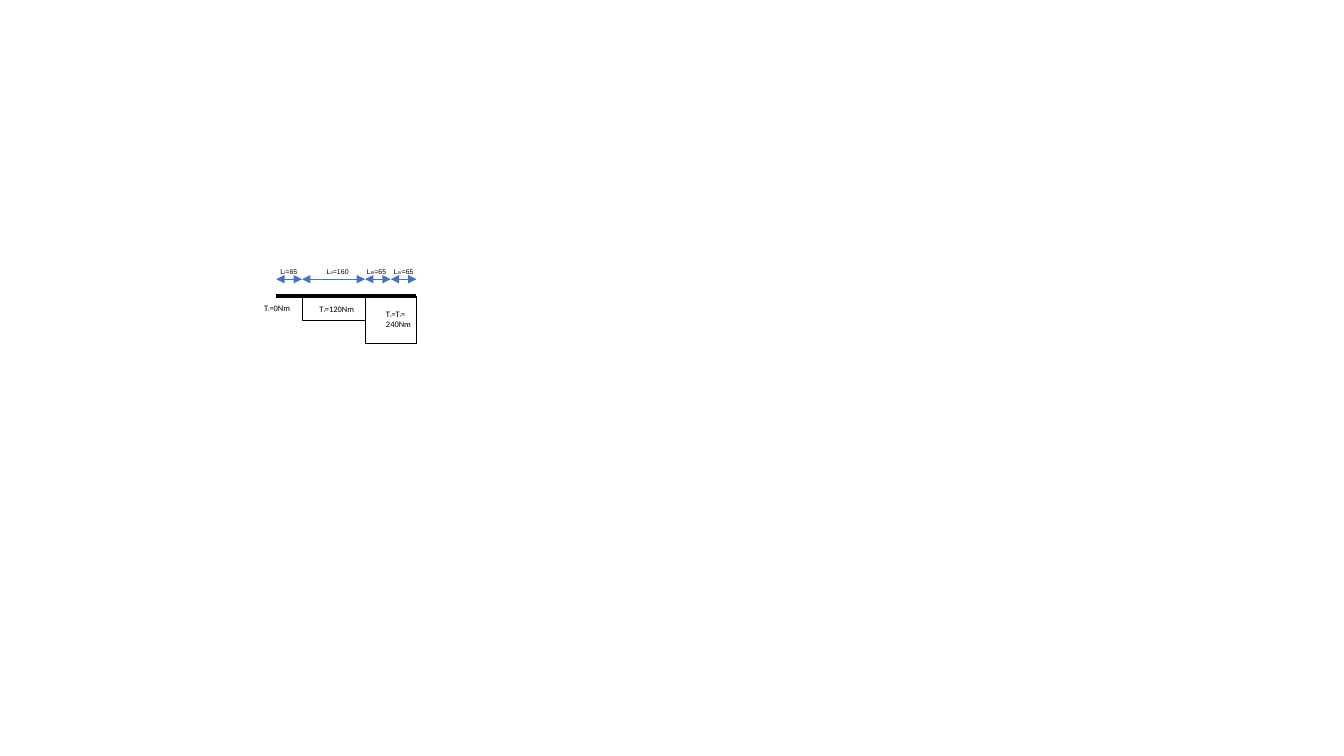
"""Build a torque diagram of a shaft with four dimensioned segments."""
from itertools import accumulate, pairwise

from lxml.etree import SubElement
from pptx import Presentation
from pptx.dml.color import RGBColor
from pptx.enum.shapes import MSO_CONNECTOR as Connector, MSO_SHAPE as Preset
from pptx.enum.text import MSO_AUTO_SIZE as AutoSize, PP_ALIGN as Align
from pptx.oxml.ns import qn
from pptx.util import Inches, Pt

BLACK = RGBColor(0x00, 0x00, 0x00)
WHITE = RGBColor(0xFF, 0xFF, 0xFF)
BLUE = RGBColor(0x44, 0x72, 0xC4)

SEGMENT_LENGTHS = [65, 160, 65, 65]
TORQUE_BLOCKS = [(1, 2, 120), (2, 4, 240)]
LENGTH_LABELS = [
    (2.44, 0.85, ["L", "I", "=65"]),
    (2.83, 1.04, ["L", "II", "=160"]),
    (3.50, 0.47, ["L", "III", "=65"]),
    (3.80, 0.41, ["L", "IV", "=65"]),
]
TORQUE_LABELS = [
    (2.52, 2.96, 0.20, [["T", "1", "=0Nm"]]),
    (3.07, 2.97, 0.20, [["T", "2", "=120Nm"]]),
    (3.73, 3.02, 0.30, [["T", "3", "=T", "4", "="], ["240Nm"]]),
]

SHAFT_LEFT, SHAFT_WIDTH, SHAFT_Y = 2.74, 1.39, 2.94
DIMENSION_Y, LENGTH_LABEL_Y = 2.77, 2.60
TORQUE_SCALE = 0.47 / 240

presentation = Presentation()
presentation.slide_width = Inches(13.33)
presentation.slide_height = Inches(7.5)
slide = presentation.slides.add_slide(presentation.slide_layouts[6])
length_scale = SHAFT_WIDTH / sum(SEGMENT_LENGTHS)
stations = [SHAFT_LEFT + length * length_scale
            for length in accumulate(SEGMENT_LENGTHS, initial=0)]


def add_text(paragraphs, left, top, width, height, *, font, size, subscript_size,
             align=Align.LEFT):
    """Add a text box whose every second run is a small index."""
    box = slide.shapes.add_textbox(*map(Inches, (left, top, width, height)))
    frame = box.text_frame
    frame.word_wrap = True
    frame.auto_size = AutoSize.SHAPE_TO_FIT_TEXT
    for number, parts in enumerate(paragraphs):
        paragraph = frame.add_paragraph() if number else frame.paragraphs[0]
        paragraph.alignment = align
        for position, part in enumerate(parts):
            run = paragraph.add_run()
            run.text = part
            run.font.name = font
            run.font.size = Pt(subscript_size if position % 2 else size)
            run.font.color.rgb = BLACK


def add_line(start, end, y, color, width, arrows=False):
    """Add a horizontal line, with arrowheads at both ends on request."""
    connector = slide.shapes.add_connector(
        Connector.STRAIGHT, *map(Inches, (start, y, end, y)))
    connector.line.color.rgb = color
    connector.line.width = Pt(width)
    if arrows:
        outline = connector.line._get_or_add_ln()
        for tag in ("a:headEnd", "a:tailEnd"):
            SubElement(outline, qn(tag), type="triangle")
    SubElement(connector._element.spPr, qn("a:effectLst"))


for first, last, torque in TORQUE_BLOCKS:
    block = slide.shapes.add_shape(Preset.RECTANGLE, *map(Inches, (
        stations[first], SHAFT_Y, stations[last] - stations[first],
        torque * TORQUE_SCALE)))
    block.shadow.inherit = False
    block.fill.solid()
    block.fill.fore_color.rgb = WHITE
    block.line.color.rgb = BLACK
    block.line.width = Pt(0.25)

add_line(stations[0], stations[-1], SHAFT_Y, BLACK, 3)
for left, top, height, paragraphs in TORQUE_LABELS:
    add_text(paragraphs, left, top, 0.81, height,
             font="Calibri", size=6, subscript_size=2)

for start, end in pairwise(stations):
    add_line(start, end, DIMENSION_Y, BLUE, 0.5, arrows=True)
for left, width, parts in LENGTH_LABELS:
    add_text([parts], left, LENGTH_LABEL_Y, width, 0.19,
             font="Arial", size=5, subscript_size=3, align=Align.CENTER)

presentation.save("out.pptx")
